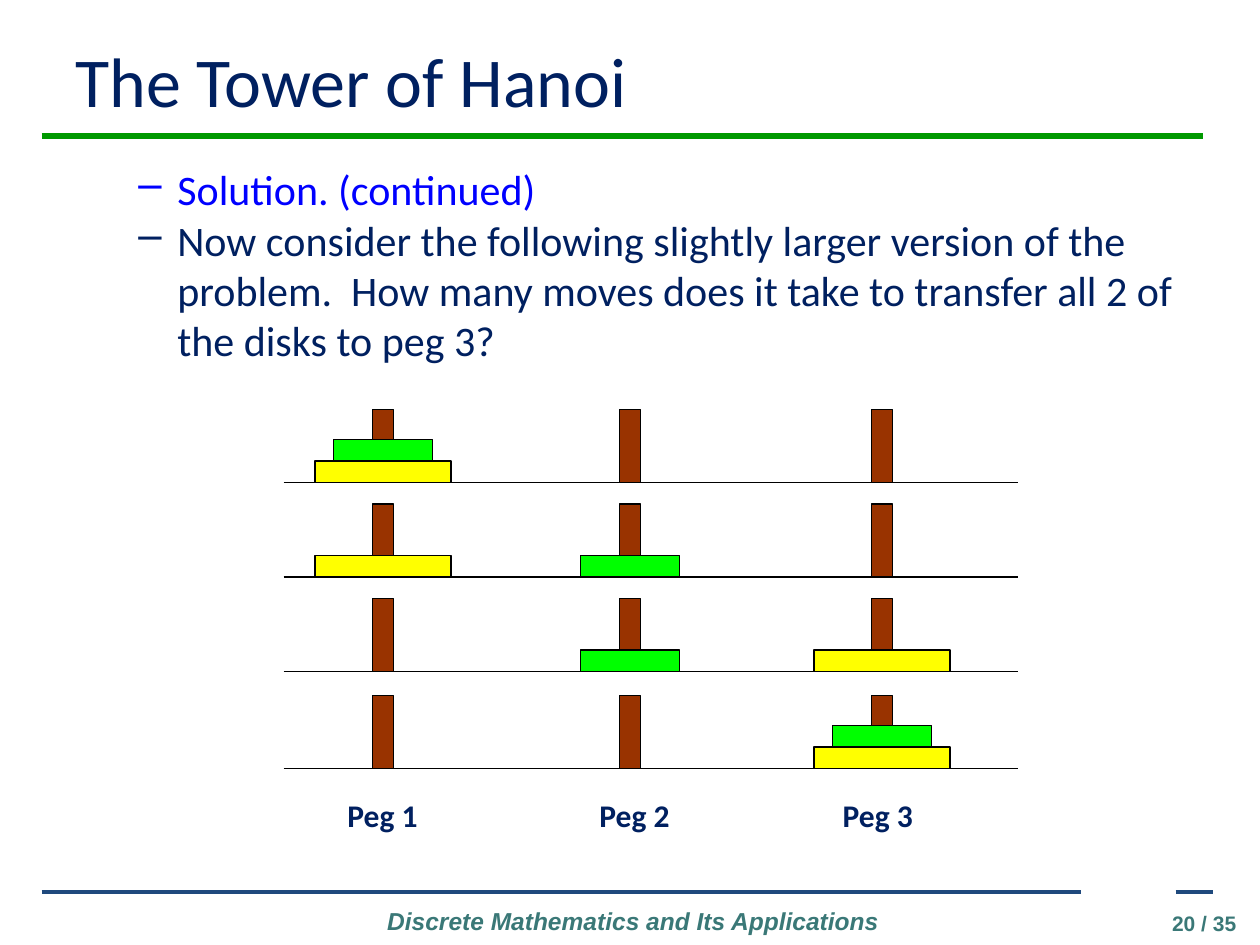
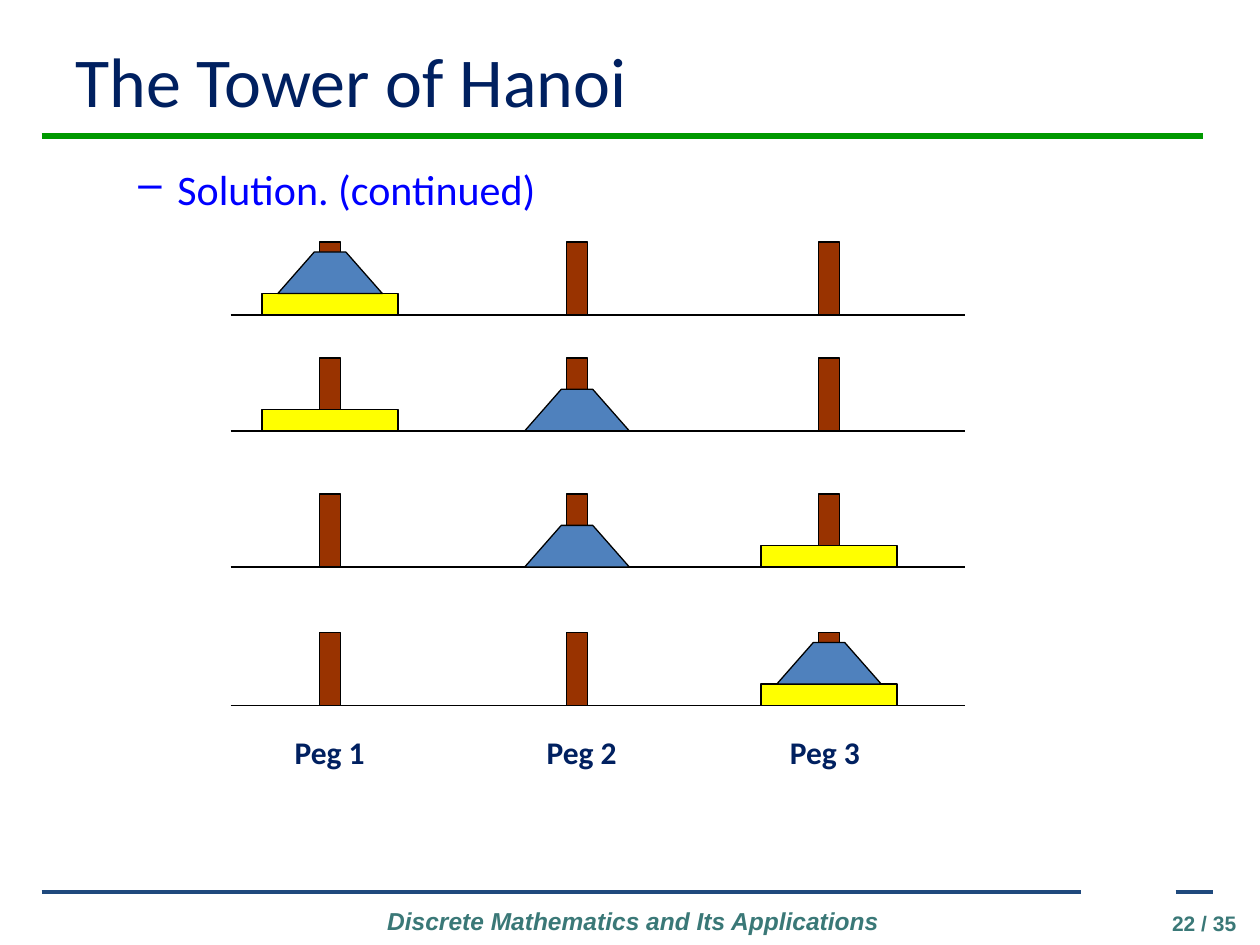
import pptx
import pptx.util
import pptx.dml.color
import pptx.enum.shapes
import pptx.enum.text
import pptx.oxml.ns
import lxml.etree

# Content: each row lists the disks on pegs 1 to 3, bottom disk first
TITLE = "The Tower of Hanoi"
FOOTER = "Discrete Mathematics and Its Applications"
PAGE_COUNT = 35
PEGS = ["Peg 1", "Peg 2", "Peg 3"]
SOLUTION = ("Solution. (continued)", "blue")
QUESTION = ("Now consider the following slightly larger version of the problem.  "
            "How many moves does it take to transfer all 2 of the disks to peg 3?", "navy")


def moves(small):
    return [[["large", small], [], []],
            [["large"], [small], []],
            [[], [small], ["large"]],
            [[], [], ["large", small]]]


PAGES = [
    {"number": 20, "bullets": [SOLUTION, QUESTION], "rows": moves("small"),
     "left": 2.25, "floors": [3.83, 4.58, 5.33, 6.1]},
    {"number": 22, "bullets": [SOLUTION], "rows": moves("cone"),
     "left": 1.83, "floors": [2.5, 3.42, 4.5, 5.6]},
]

# Style
COLORS = {"navy": "002060", "blue": "0000FF", "teal": "3A7877", "green": "009900",
          "steel": "1F497D", "brown": "993300", "yellow": "FFFF00", "lime": "00FF00",
          "sky": "4F81BD", "black": "000000"}
FONTS = {
    "title": {"name": "Calibri", "size": 40},
    "body": {"name": "Calibri", "size": 24},
    "label": {"name": "Calibri", "size": 18, "bold": True},
    "footer": {"name": "Arial", "size": 14, "bold": True, "italic": True},
    "number": {"name": "Arial", "size": 12, "bold": True},
}
RULES = [(0.33, 9.55, 1.08, "green", 3),
         (0.33, 8.58, 7.08, "steel", 2.25),
         (9.33, 9.63, 7.08, "steel", 2.25)]

# Tower geometry in inches, measured from the left end of a floor line
FLOOR_WIDTH = 5.83
PEG_CENTERS = [0.79, 2.75, 4.75]
LABEL_LEFTS = [0.41, 2.41, 4.34]
LABEL_DROP = 0.17
PEG_SIZE = (0.17, 0.58)
DISKS = {"large": (1.08, 0.17, "yellow"),
         "small": (0.79, 0.17, "lime"),
         "cone": (0.83, 0.33, "sky")}
CONE_SLOPE = 0.29

ALIGN = pptx.enum.text.PP_ALIGN
inch = pptx.util.Inches


def rgb(color):
    return pptx.dml.color.RGBColor.from_string(COLORS[color])


def add_child(parent, tag, **attributes):
    child = lxml.etree.SubElement(parent, pptx.oxml.ns.qn(tag))
    for key, value in attributes.items():
        child.set(key, value)
    return child


def write(paragraph, text, style, color):
    span = paragraph.add_run()
    span.text = text
    span.font.color.rgb = rgb(color)
    for key, value in FONTS[style].items():
        setattr(span.font, key, pptx.util.Pt(value) if key == "size" else value)


def add_text(page, area, text, style, color="navy", align=ALIGN.LEFT, **frame):
    box = page.shapes.add_textbox(*map(inch, area))
    for key, value in {"word_wrap": True, **frame}.items():
        setattr(box.text_frame, key, value)
    para = box.text_frame.paragraphs[0]
    para.alignment = align
    write(para, text, style, color)


def add_bullets(page, bullets):
    height = 1.7 if len(bullets) > 1 else 0.5
    frame = page.shapes.add_textbox(*map(inch, (0.5, 1.25, 9, height))).text_frame
    frame.word_wrap = True
    for index, (text, color) in enumerate(bullets):
        para = frame.add_paragraph() if index else frame.paragraphs[0]
        para.level = 1
        properties = para._p.get_or_add_pPr()
        properties.set("marL", str(inch(0.81)))
        properties.set("indent", str(inch(-0.31)))
        add_child(add_child(properties, "a:buClr"), "a:srgbClr", val=COLORS[color])
        add_child(properties, "a:buChar", char="–")
        write(para, text, "body", color)


def add_rule(page, start, end, y, color, width):
    rule = page.shapes.add_connector(pptx.enum.shapes.MSO_CONNECTOR.STRAIGHT,
                                     inch(start), inch(y), inch(end), inch(y))
    rule.line.color.rgb = rgb(color)
    rule.line.width = pptx.util.Pt(width)
    add_child(rule._element.spPr, "a:effectLst")


def paint(shape, color):
    shape.shadow.inherit = False
    shape.fill.solid()
    shape.fill.fore_color.rgb = rgb(color)
    shape.line.color.rgb = rgb("black")
    shape.line.width = pptx.util.Pt(0.75)


def add_block(page, center, bottom, width, height, color):
    area = (center - width / 2, bottom - height, width, height)
    paint(page.shapes.add_shape(pptx.enum.shapes.MSO_SHAPE.RECTANGLE, *map(inch, area)), color)


def add_cone(page, center, bottom, width, height, color):
    left, right, top = center - width / 2, center + width / 2, bottom - height
    outline = page.shapes.build_freeform(inch(left), inch(bottom))
    corners = [(left + CONE_SLOPE, top), (right - CONE_SLOPE, top), (right, bottom)]
    outline.add_line_segments([(inch(x), inch(y)) for x, y in corners], close=True)
    paint(outline.convert_to_shape(), color)


def add_towers(page, left, floors, rows):
    for floor, stacks in zip(floors, rows):
        add_rule(page, left, left + FLOOR_WIDTH, floor, "black", 0.75)
        for offset, stack in zip(PEG_CENTERS, stacks):
            add_block(page, left + offset, floor, *PEG_SIZE, "brown")
            bottom = floor
            for disk in stack:
                draw = add_cone if disk == "cone" else add_block
                draw(page, left + offset, bottom, *DISKS[disk])
                bottom -= DISKS[disk][1]
    for offset, label in zip(LABEL_LEFTS, PEGS):
        add_text(page, (left + offset, floors[-1] + LABEL_DROP, 0.76, 0.4), label, "label",
                 word_wrap=False)


def add_frame(page, number):
    for rule in RULES:
        add_rule(page, *rule)
    add_text(page, (2.83, 7.14, 4.39, 0.34), FOOTER, "footer", "teal", ALIGN.CENTER)
    add_text(page, (8.89, 7.18, 1.02, 0.24), f"{number} / {PAGE_COUNT}", "number", "teal",
             ALIGN.RIGHT)
    add_text(page, (0.5, 0.25, 9, 0.77), TITLE, "title",
             vertical_anchor=pptx.enum.text.MSO_ANCHOR.MIDDLE)


def main():
    deck = pptx.Presentation()
    deck.slide_width, deck.slide_height = inch(10), inch(7.5)
    for content in PAGES:
        page = deck.slides.add_slide(deck.slide_layouts[6])
        add_frame(page, content["number"])
        add_bullets(page, content["bullets"])
        add_towers(page, content["left"], content["floors"], content["rows"])
    deck.save("out.pptx")


if __name__ == "__main__":
    main()
